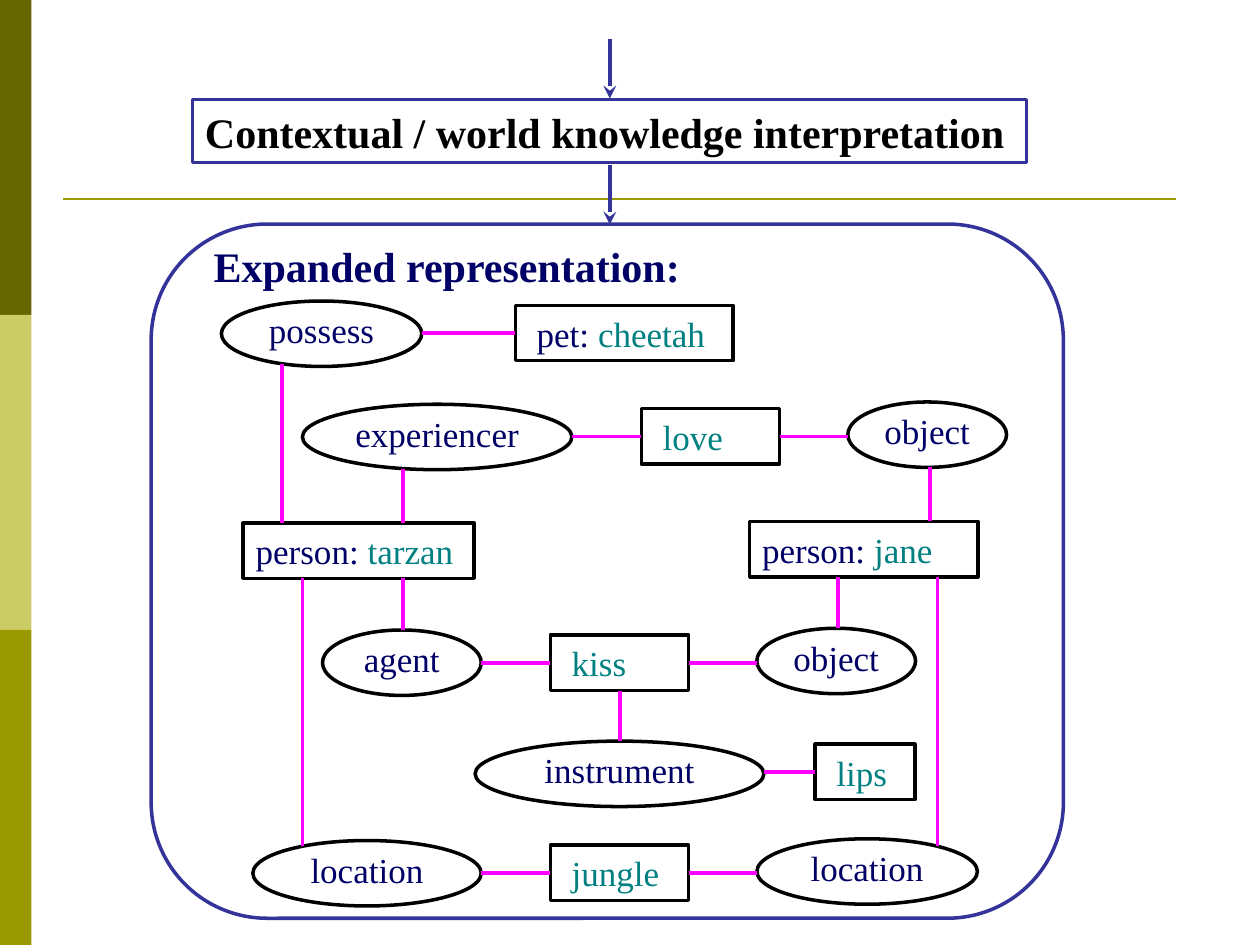
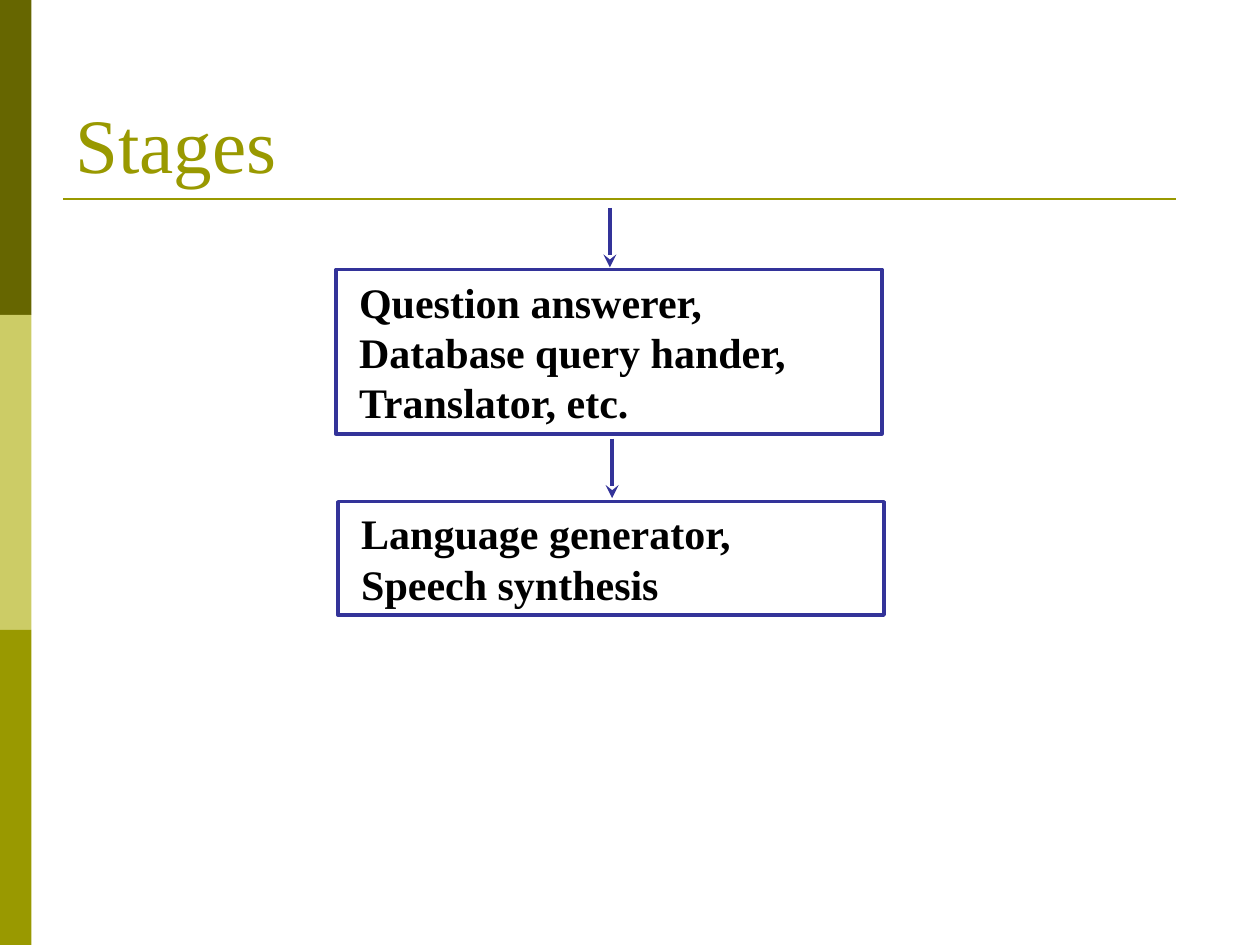
from dataclasses import dataclass
from math import sqrt

from lxml import etree
from pptx import Presentation
from pptx.dml.color import RGBColor
from pptx.enum.shapes import MSO_CONNECTOR, MSO_SHAPE
from pptx.enum.text import MSO_ANCHOR, PP_ALIGN
from pptx.oxml.ns import qn
from pptx.util import Pt

RECT = MSO_SHAPE.RECTANGLE
OVAL = MSO_SHAPE.OVAL
ROUNDED = MSO_SHAPE.ROUNDED_RECTANGLE
STRAIGHT = MSO_CONNECTOR.STRAIGHT
TOP, MIDDLE, BOTTOM = MSO_ANCHOR.TOP, MSO_ANCHOR.MIDDLE, MSO_ANCHOR.BOTTOM
LEFT, CENTER = PP_ALIGN.LEFT, PP_ALIGN.CENTER


@dataclass(frozen=True)
class Theme:
    font: str = "Times New Roman"
    bands: tuple = ("666600", "CCCC66", "999900")
    olive: str = "999900"
    frame: str = "333399"
    outline: str = "000000"
    link: str = "FF00FF"
    role: str = "000066"
    value: str = "008080"
    stage: str = "000000"
    title_size: float = 44
    stage_size: float = 24
    node_size: float = 20
    border: float = 2
    arrow: float = 2.5
    rule: float = 1.5
    inset: float = 7.2


THEME = Theme()
PAGE_WIDTH, PAGE_HEIGHT, BAND_WIDTH = 720, 540, 18
RULE = (36, 113.8, 672, 113.8)
ARROW_LENGTH = 34
RECT_HEIGHT, OVAL_HEIGHT = 31.7, 37.4

INTERPRETATION = {
    "at": (110, 57, 476.6, 36),
    "lines": ["Contextual / world knowledge interpretation"],
    "indent": 0,
}
REPRESENTATION = (86.4, 128, 521.3, 396.7)
HEADING = ("Expanded representation:", (115, 134, 325, 36))
KNOWLEDGE_ARROWS = [(348.5, 22.3), (348.5, 94.3)]

ROLES = {
    "possess": ("possess", 126.5, 172, 114.5),
    "experiencer": ("experiencer", 172.8, 231, 154),
    "loved": ("object", 484.5, 229.7, 90.7),
    "agent": ("agent", 184.3, 360, 90.7),
    "kissed": ("object", 432.5, 359, 90.7),
    "instrument": ("instrument", 271.5, 423.5, 165),
    "tarzan place": ("location", 144.5, 480.3, 130.5),
    "jane place": ("location", 432.5, 479.3, 126),
}
CONCEPTS = {
    "pet": ("pet: ", "cheetah", 294.5, 174.5, 124.5, 5),
    "love": ("", "love", 366.5, 233.5, 79, 5),
    "tarzan": ("person: ", "tarzan", 139, 298.8, 131.8, 0),
    "jane": ("person: ", "jane", 428.4, 298, 130.4, 0),
    "kiss": ("", "kiss", 314.5, 362.9, 79, 5),
    "lips": ("", "lips", 465.8, 425.3, 57, 5),
    "jungle": ("", "jungle", 314.5, 483, 79, 5),
}
ACROSS = [
    ("possess", "pet"), ("experiencer", "love"), ("love", "loved"),
    ("agent", "kiss"), ("kiss", "kissed"), ("instrument", "lips"),
    ("tarzan place", "jungle"), ("jungle", "jane place"),
]
DOWN = [
    ("possess", "tarzan", 161.3), ("experiencer", "tarzan", 230.4),
    ("loved", "jane", 531.4), ("tarzan", "agent", 230.4),
    ("jane", "kissed", 478.8), ("kiss", "instrument", 354.2),
    ("tarzan", "tarzan place", 172.8), ("jane", "jane place", 535.7),
]

STAGES_TITLE = ("Stages", (36, 21.6, 648, 90))
STAGES = [
    {"at": (192, 154, 312, 94), "indent": 6,
     "lines": ["Question answerer,", "Database query hander,", "Translator, etc."]},
    {"at": (193.2, 286.7, 312, 64.8), "indent": 6,
     "lines": ["Language generator,", "Speech synthesis"]},
]
STAGE_ARROWS = [(348.5, 118.8), (349.8, 250.6)]


def rgb(colour):
    return RGBColor.from_string(colour)


def add_box(page, kind, at, fill=None, line=None):
    box = page.shapes.add_shape(kind, *map(Pt, at))
    box.shadow.inherit = False
    if fill:
        box.fill.solid()
        box.fill.fore_color.rgb = rgb(fill)
    else:
        box.fill.background()
    if line:
        box.line.color.rgb = rgb(line)
        box.line.width = Pt(THEME.border)
    else:
        box.line.fill.background()
    return box


def write(box, lines, size, bold=False, anchor=MIDDLE, align=LEFT,
          inset=THEME.inset, spacing=1):
    frame = box.text_frame
    frame.word_wrap = True
    frame.vertical_anchor = anchor
    frame.margin_left = Pt(inset)
    frame.margin_right = Pt(min(inset, THEME.inset))
    for index, spans in enumerate(lines):
        para = frame.add_paragraph() if index else frame.paragraphs[0]
        para.alignment = align
        para.line_spacing = spacing
        for text, colour in spans:
            span = para.add_run()
            span.text = text
            span.font.name = THEME.font
            span.font.size = Pt(size)
            span.font.bold = bold
            span.font.color.rgb = rgb(colour)


def add_line(page, ends, colour, width, arrowhead=False):
    line = page.shapes.add_connector(STRAIGHT, *map(Pt, ends))
    line.line.color.rgb = rgb(colour)
    line.line.width = Pt(width)
    if arrowhead:
        etree.SubElement(line.line._get_or_add_ln(), qn("a:tailEnd"), type="stealth")
    etree.SubElement(line._element.spPr, qn("a:effectLst"))


def add_arrows(page, starts):
    for x, y in starts:
        add_line(page, (x, y, x, y + ARROW_LENGTH), THEME.frame, THEME.arrow, True)


def add_stage(page, stage):
    box = add_box(page, RECT, stage["at"], line=THEME.frame)
    lines = [[(text, THEME.stage)] for text in stage["lines"]]
    write(box, lines, THEME.stage_size, bold=True, inset=THEME.inset + stage["indent"])


def add_text(page, text, at, colour, size, **style):
    box = page.shapes.add_textbox(*map(Pt, at))
    write(box, [[(text, colour)]], size, **style)


def add_page(deck):
    page = deck.slides.add_slide(deck.slide_layouts[6])
    band_height = PAGE_HEIGHT / len(THEME.bands)
    for index, colour in enumerate(THEME.bands):
        add_box(page, RECT, (0, index * band_height, BAND_WIDTH, band_height), fill=colour)
    add_line(page, RULE, THEME.olive, THEME.rule)
    return page


def edge_offset(name, at, x):
    left, _, width, height = at
    if name in CONCEPTS:
        return height / 2
    reach = (x - left - width / 2) / (width / 2)
    return height / 2 * sqrt(1 - reach ** 2)


def add_network(page):
    places = {}
    for name, (text, left, top, width) in ROLES.items():
        places[name] = (left, top, width, OVAL_HEIGHT)
        box = add_box(page, OVAL, places[name], line=THEME.outline)
        write(box, [[(text, THEME.role)]], THEME.node_size,
              align=CENTER, inset=0, spacing=0.8)
    for name, (label, value, left, top, width, indent) in CONCEPTS.items():
        places[name] = (left, top, width, RECT_HEIGHT)
        box = add_box(page, RECT, places[name], line=THEME.outline)
        spans = [(label, THEME.role)] if label else []
        write(box, [spans + [(value, THEME.value)]], THEME.node_size,
              inset=THEME.inset + indent)

    for start, end in ACROSS:
        left, _, width, _ = places[start]
        concept = places[start if start in CONCEPTS else end]
        y = concept[1] + concept[3] / 2
        add_line(page, (left + width, y, places[end][0], y), THEME.link, THEME.border)
    for upper, lower, x in DOWN:
        above, below = places[upper], places[lower]
        start = above[1] + above[3] / 2 + edge_offset(upper, above, x)
        end = below[1] + below[3] / 2 - edge_offset(lower, below, x)
        add_line(page, (x, start, x, end), THEME.link, THEME.border)


def build_knowledge(deck):
    page = add_page(deck)
    add_stage(page, INTERPRETATION)
    outer = add_box(page, ROUNDED, REPRESENTATION, line=THEME.frame)
    outer.adjustments[0] = 0.167
    add_arrows(page, KNOWLEDGE_ARROWS)
    add_text(page, *HEADING, THEME.role, THEME.stage_size, bold=True, anchor=TOP)
    add_network(page)


def build_stages(deck):
    page = add_page(deck)
    add_text(page, *STAGES_TITLE, THEME.olive, THEME.title_size, anchor=BOTTOM)
    add_arrows(page, STAGE_ARROWS)
    for stage in STAGES:
        add_stage(page, stage)


def main():
    deck = Presentation()
    deck.slide_width, deck.slide_height = Pt(PAGE_WIDTH), Pt(PAGE_HEIGHT)
    build_knowledge(deck)
    build_stages(deck)
    deck.save("out.pptx")


if __name__ == "__main__":
    main()
